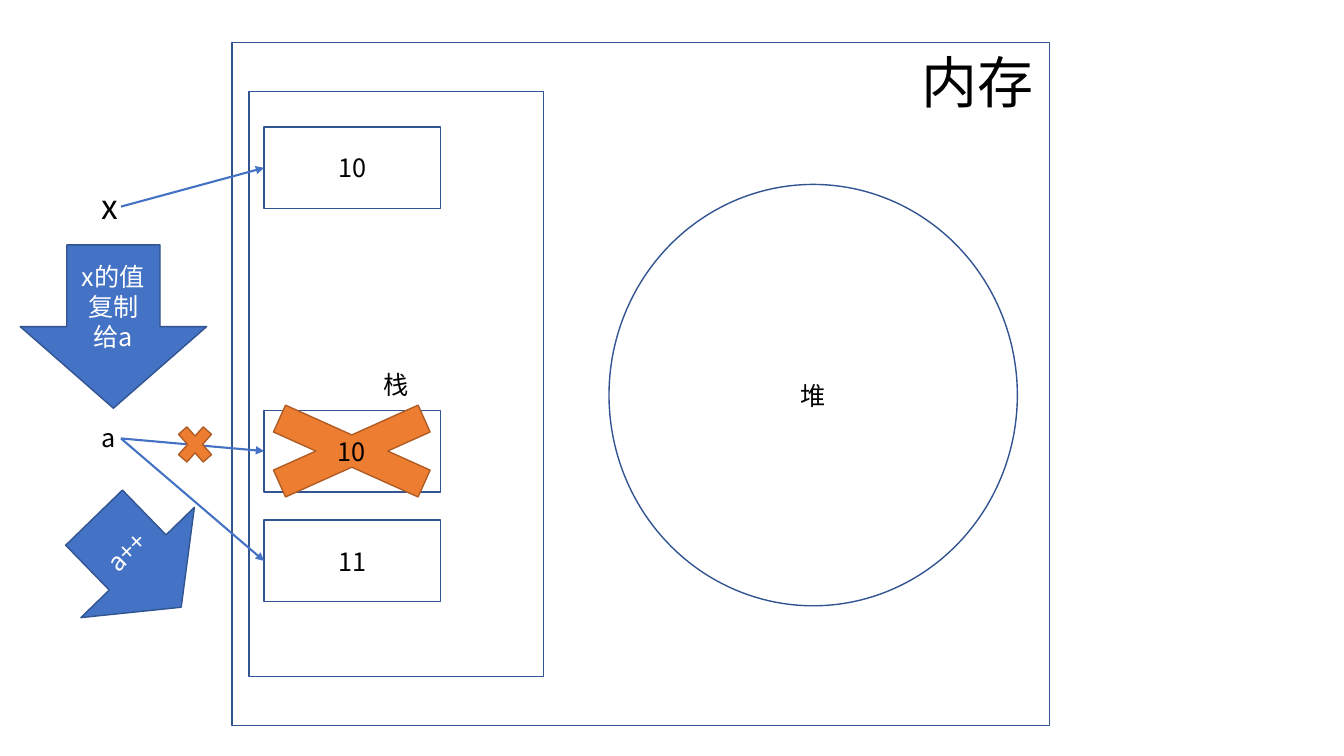
from collections import namedtuple
from lxml.etree import SubElement
from pptx import Presentation
from pptx.dml.color import RGBColor
from pptx.enum.shapes import MSO_CONNECTOR, MSO_SHAPE
from pptx.enum.text import MSO_ANCHOR, PP_ALIGN
from pptx.oxml.ns import qn
from pptx.util import Inches, Pt

FONT = "Noto Sans CJK SC"
WHITE = RGBColor(0xFF, 0xFF, 0xFF)
BLACK = RGBColor(0x00, 0x00, 0x00)
BLUE = RGBColor(0x44, 0x72, 0xC4)
NAVY = RGBColor(0x32, 0x54, 0x91)
ORANGE = RGBColor(0xED, 0x7D, 0x31)
BROWN = RGBColor(0xAF, 0x5C, 0x24)

Box = namedtuple("Box", "left top width height")
CELL_WIDTH, CELL_HEIGHT = 1.75, 0.81


def inches(box):
    return [Inches(value) for value in box]


def inside(box, left, top, width, height):
    return Box(box.left + left, box.top + top, width, height)


def write(frame, text, size, color, align):
    para = frame.paragraphs[0]
    para.text = text
    para.alignment = align
    para.font.name = FONT
    para.font.size = Pt(size)
    para.font.color.rgb = color
    properties = para._p.pPr.find(qn("a:defRPr"))
    SubElement(properties, qn("a:ea")).set("typeface", FONT)


def add_block(page, kind, box, text="", fill=WHITE, line=NAVY, color=BLACK):
    block = page.shapes.add_shape(kind, *inches(box))
    block.shadow.inherit = False
    block.fill.solid()
    block.fill.fore_color.rgb = fill
    block.line.color.rgb = line
    block.line.width = Pt(1)
    if text:
        block.text_frame.word_wrap = True
        block.text_frame.vertical_anchor = MSO_ANCHOR.MIDDLE
        write(block.text_frame, text, 18, color, PP_ALIGN.CENTER)
    return block


def add_label(page, box, text, size):
    label = page.shapes.add_textbox(*inches(box))
    label.text_frame.word_wrap = True
    write(label.text_frame, text, size, BLACK, PP_ALIGN.LEFT)


def add_pointer(page, start, end):
    pointer = page.shapes.add_connector(
        MSO_CONNECTOR.STRAIGHT, *inches(start + end))
    pointer.line.color.rgb = BLUE
    pointer.line.width = Pt(1.5)
    SubElement(pointer.line._get_or_add_ln(), qn("a:tailEnd")).set("type", "triangle")
    SubElement(pointer._element.spPr, qn("a:effectLst"))


def add_cross(page, box, text=""):
    add_block(page, MSO_SHAPE.MATH_MULTIPLY, box, text, ORANGE, BROWN)


def draw_memory(page, box):
    add_block(page, MSO_SHAPE.RECTANGLE, box)
    add_label(page, inside(box, box.width - 1.37, 0, 1.38, 0.77), "内存", 40)
    add_block(page, MSO_SHAPE.OVAL, inside(box, 3.74, 1.41, 4.05, 4.18), "堆")


def draw_stack(page, box):
    add_block(page, MSO_SHAPE.RECTANGLE, box, "栈")
    entries = []
    for top, value in ((0.35, "10"), (3.16, "10"), (4.25, "11")):
        cell = inside(box, 0.15, top, CELL_WIDTH, CELL_HEIGHT)
        add_block(page, MSO_SHAPE.RECTANGLE, cell, value)
        entries.append((cell.left, cell.top + CELL_HEIGHT / 2))
    return entries


def draw_variables(page, box, entries):
    x_entry, old_entry, new_entry = entries
    right = box.left + box.width
    add_label(page, inside(box, 0.71, 0, 0.29, 0.5), "x", 24)
    add_label(page, inside(box, 0.71, 2.34, 0.29, 0.41), "a", 18)
    add_pointer(page, (right, box.top + 0.25), x_entry)
    for entry in (old_entry, new_entry):
        add_pointer(page, (right, box.top + 2.55), entry)
    add_block(page, MSO_SHAPE.DOWN_ARROW, inside(box, 0, 0.63, 1.85, 1.62),
              "x的值复制给a", BLUE, color=WHITE)
    increment = add_block(page, MSO_SHAPE.DOWN_ARROW, inside(box, 0.38, 3.16, 1.57, 1.24),
                          "a++", BLUE, color=WHITE)
    increment.rotation = 315.8


def draw_crosses(page, entry):
    left, middle = entry
    add_cross(page, Box(left - 0.92, middle - 0.33, 0.47, 0.53))
    add_cross(page, Box(left - 0.51, middle - 0.62, 2.76, 1.24), "10")


deck = Presentation()
deck.slide_width, deck.slide_height = Inches(13.33), Inches(7.5)
page = deck.slides.add_slide(deck.slide_layouts.get_by_name("Blank"))
draw_memory(page, Box(2.3, 0.42, 8.11, 6.78))
stack_entries = draw_stack(page, Box(2.47, 0.91, 2.92, 5.8))
draw_variables(page, Box(0.2, 1.8, 1.0, 4.4), stack_entries)
draw_crosses(page, stack_entries[1])
deck.save("out.pptx")
